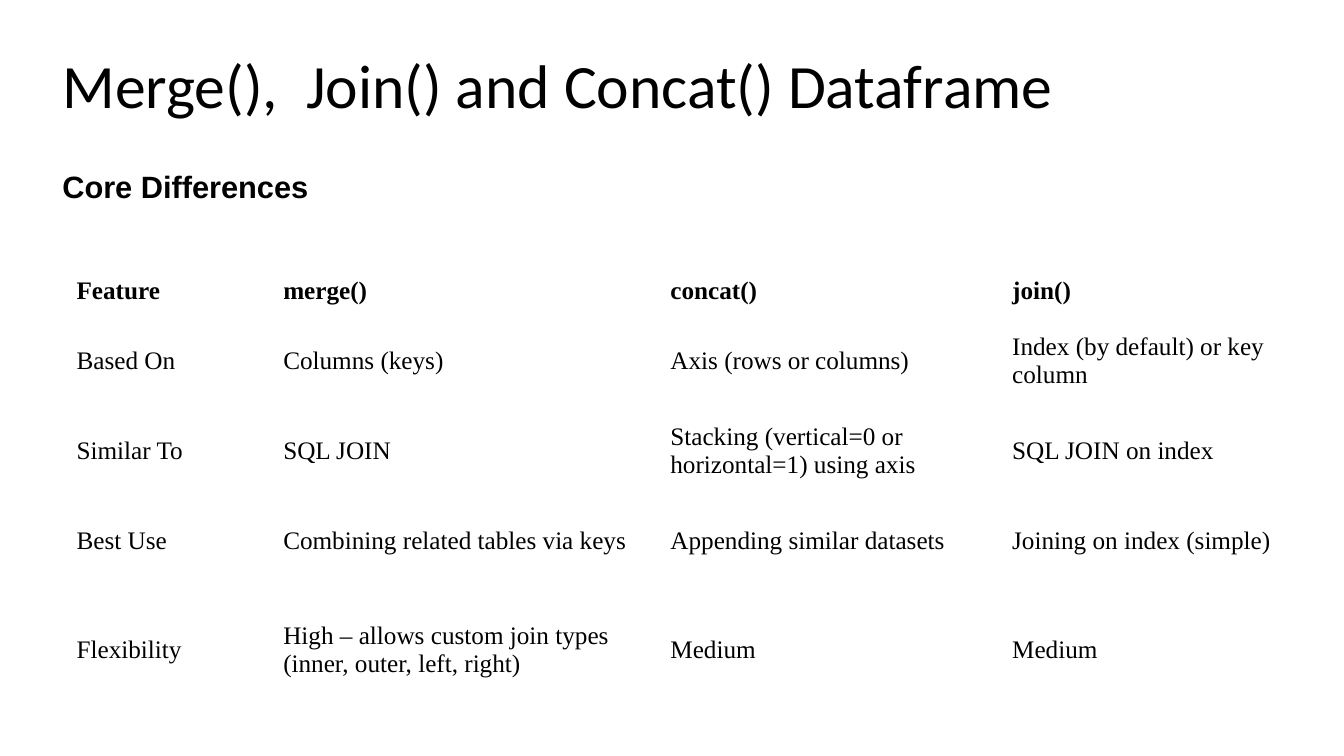
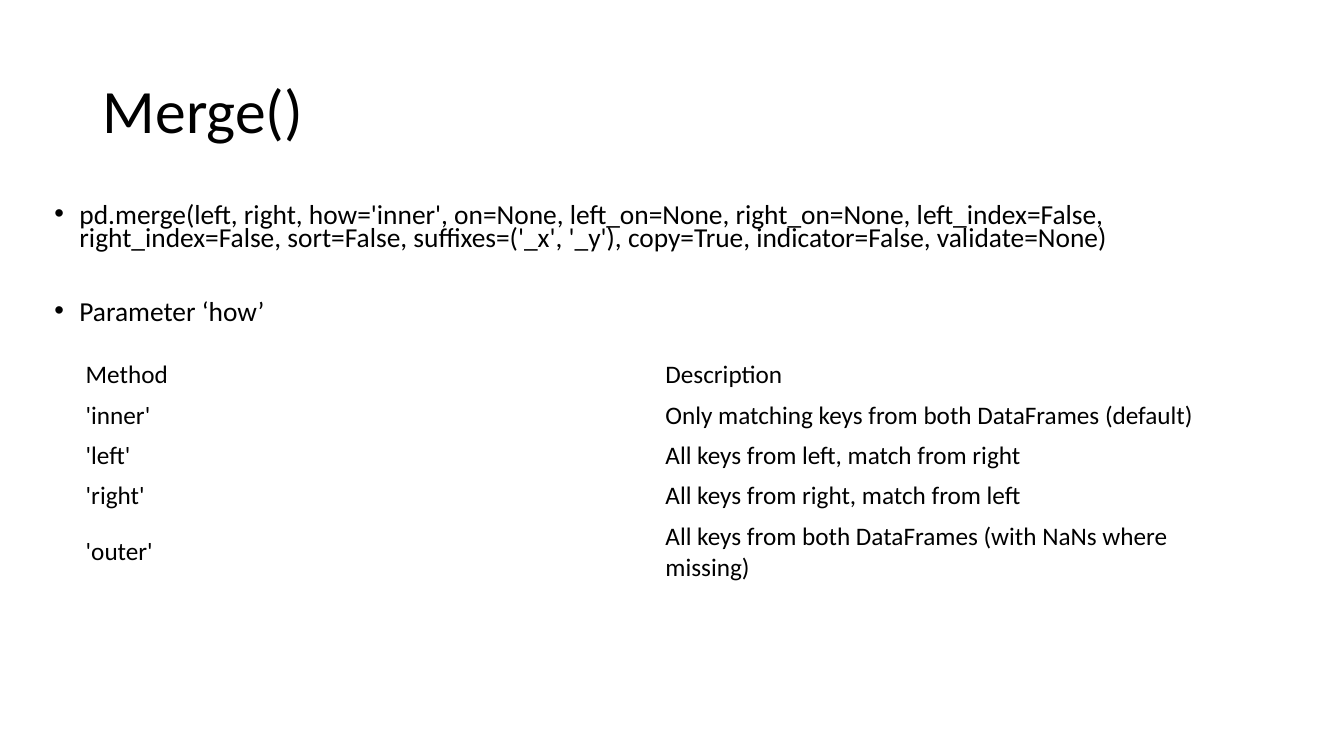
from dataclasses import dataclass

from lxml.etree import SubElement
from pptx import Presentation
from pptx.dml.color import RGBColor
from pptx.enum.text import MSO_ANCHOR as Anchor, MSO_AUTO_SIZE as AutoSize, PP_ALIGN as Align
from pptx.oxml.ns import qn
from pptx.util import Inches, Pt


@dataclass(frozen=True)
class Theme:
    """Colours, fonts and type sizes shared by the deck."""
    ink: RGBColor = RGBColor(0, 0, 0)
    sans: str = "Calibri"
    serif: str = "Times New Roman"
    heading: str = "Arial"
    title_size: float = 44
    heading_size: float = 22
    body_size: float = 19.6
    table_size: float = 18


THEME = Theme()
TITLE_ONLY = 5

DIFFERENCES = [
    ("Feature", "merge()", "concat()", "join()"),
    ("Based On", "Columns (keys)", "Axis (rows or columns)", "Index (by default) or key column"),
    ("Similar To", "SQL JOIN", "Stacking (vertical=0 or horizontal=1) using axis",
     "SQL JOIN on index"),
    ("Best Use", "Combining related tables via keys", "Appending similar datasets",
     "Joining on index (simple)"),
    ("Flexibility", "High – allows custom join types (inner, outer, left, right)",
     "Medium", "Medium"),
]
SYNTAX = [
    "pd.merge(left, right, how='inner', on=None, left_on=None, right_on=None, "
    "left_index=False, right_index=False, sort=False, suffixes=('_x', '_y'), "
    "copy=True, indicator=False, validate=None)",
    "Parameter ‘how’",
]
JOIN_METHODS = [
    ("Method", "Description"),
    ("'inner'", "Only matching keys from both DataFrames (default)"),
    ("'left'", "All keys from left, match from right"),
    ("'right'", "All keys from right, match from left"),
    ("'outer'", "All keys from both DataFrames (with NaNs where missing)"),
]


def format_runs(para, font, size, bold=False):
    """Give every run of a paragraph the same font."""
    for span in para.runs:
        span.font.name = font
        span.font.size = Pt(size)
        span.font.bold = bold
        span.font.color.rgb = THEME.ink


def add_titled_page(deck, title, box):
    """Add a title-only page with its title in the given box."""
    page = deck.slides.add_slide(deck.slide_layouts[TITLE_ONLY])
    holder = page.shapes.title
    holder.left, holder.top, holder.width, holder.height = map(Inches, box)
    frame = holder.text_frame
    frame.text = title
    frame.auto_size = AutoSize.NONE
    frame.vertical_anchor = Anchor.MIDDLE
    para = frame.paragraphs[0]
    para.alignment = Align.LEFT
    para.line_spacing = 0.9
    format_runs(para, THEME.sans, THEME.title_size)
    return page


def add_heading(page, text, box):
    """Add a bold section heading."""
    frame = page.shapes.add_textbox(*map(Inches, box)).text_frame
    frame.text = text
    frame.word_wrap = True
    frame.vertical_anchor = Anchor.MIDDLE
    format_runs(frame.paragraphs[0], THEME.heading, THEME.heading_size, bold=True)


def add_bullets(page, items, box, gap):
    """Add a tightly spaced bullet list with a gap in points between items."""
    frame = page.shapes.add_textbox(*map(Inches, box)).text_frame
    frame.word_wrap = True
    for index, item in enumerate(items):
        para = frame.add_paragraph() if index else frame.paragraphs[0]
        para.text = item
        props = para._p.get_or_add_pPr()
        props.set("marL", str(Inches(0.25)))
        props.set("indent", str(-Inches(0.25)))
        SubElement(props, qn("a:buFont"), typeface="Arial")
        SubElement(props, qn("a:buChar"), char="•")
        para.line_spacing = 0.7
        if index:
            para.space_before = Pt(gap)
        format_runs(para, THEME.sans, THEME.body_size)


def add_plain_table(page, rows, origin, widths, heights, font, bold_header=False):
    """Add an unfilled table whose columns and rows have the given sizes."""
    box = (*origin, sum(widths), sum(heights))
    table = page.shapes.add_table(len(rows), len(widths), *map(Inches, box)).table
    table.first_row = table.horz_banding = False
    for column, width in zip(table.columns, widths):
        column.width = Inches(width)
    for row_index, (row, height, texts) in enumerate(zip(table.rows, heights, rows)):
        row.height = Inches(height)
        for cell, text in zip(row.cells, texts):
            cell.text_frame.text = text
            cell.vertical_anchor = Anchor.MIDDLE
            cell.fill.background()
            format_runs(cell.text_frame.paragraphs[0], font, THEME.table_size,
                        bold=bold_header and row_index == 0)


def build_comparison(deck):
    """Build the page comparing merge, concat and join."""
    page = add_titled_page(deck, "Merge(),  Join() and Concat() Dataframe",
                           (0.52, 0.15, 12.49, 1.45))
    add_heading(page, "Core Differences", (0.52, 1.6, 2.67, 0.5))
    add_plain_table(page, DIFFERENCES, (0.66, 2.63), (2.05, 3.84, 3.39, 3.09),
                    (0.51, 0.89, 0.89, 0.89, 1.28), THEME.serif, bold_header=True)


def build_merge(deck):
    """Build the page on merge syntax and join methods."""
    page = add_titled_page(deck, "Merge()", (0.92, 0.4, 11.5, 1.45))
    add_bullets(page, SYNTAX, (0.44, 2, 12.43, 1.35), gap=36)
    add_plain_table(page, JOIN_METHODS, (0.75, 3.52), (5.75, 5.75),
                    (0.4, 0.4, 0.4, 0.4, 0.7), THEME.sans)


def main():
    """Build and save the deck."""
    deck = Presentation()
    deck.slide_width, deck.slide_height = Inches(13.33), Inches(7.5)
    build_comparison(deck)
    build_merge(deck)
    deck.save("out.pptx")


if __name__ == "__main__":
    main()
